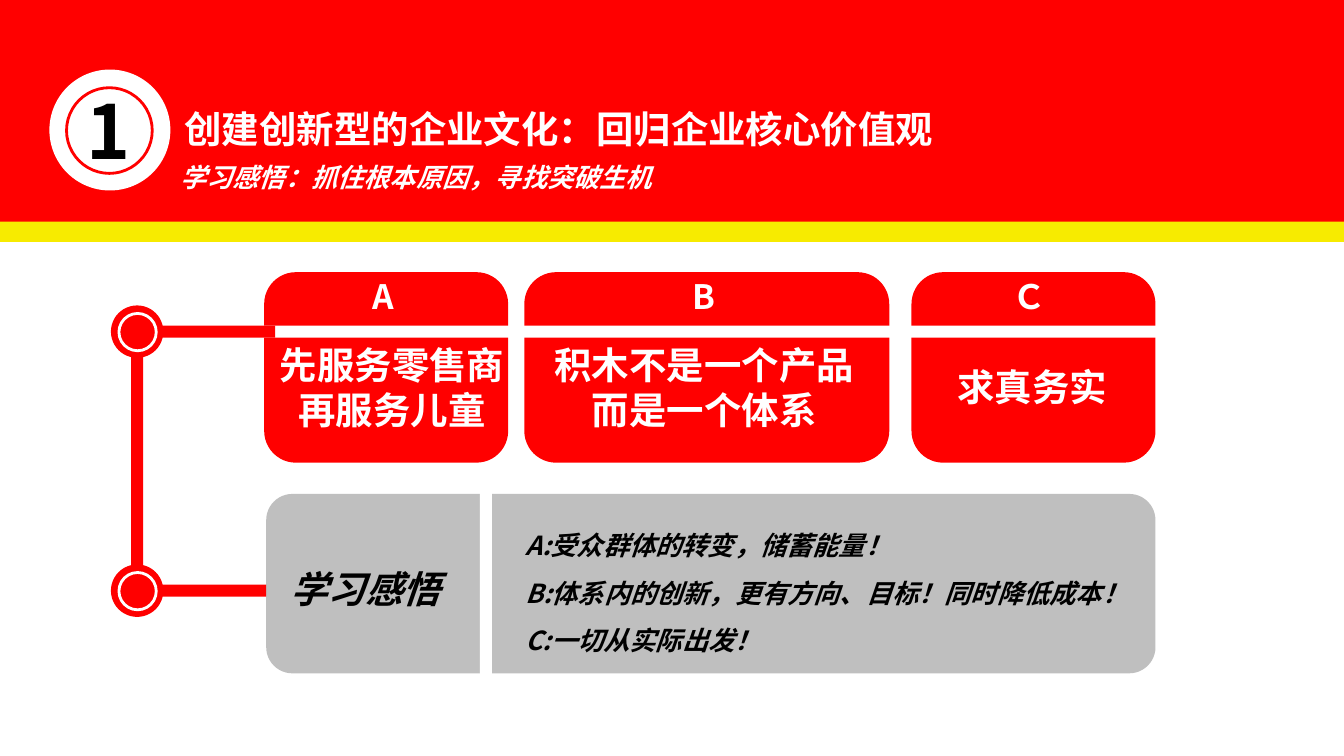
from dataclasses import dataclass

import pptx
import pptx.dml.color
import pptx.enum.shapes
import pptx.enum.text
import pptx.oxml.ns
import pptx.presentation
import pptx.shapes.autoshape
import pptx.slide
import pptx.text.text
import pptx.util
from lxml import etree

Inches = pptx.util.Inches
RGBColor = pptx.dml.color.RGBColor
Preset = pptx.enum.shapes.MSO_SHAPE
Align = pptx.enum.text.PP_ALIGN

RED = RGBColor(0xFF, 0x00, 0x00)
YELLOW = RGBColor(0xF7, 0xEB, 0x00)
GREY = RGBColor(0xBF, 0xBF, 0xBF)
WHITE = RGBColor(0xFF, 0xFF, 0xFF)
BLACK = RGBColor(0x00, 0x00, 0x00)
FONT_NAME = "Noto Sans CJK SC"
BAR = 0.12  # thickness of rails and dividers


@dataclass(frozen=True)
class Box:
    left: float
    top: float
    width: float
    height: float

    def lengths(self) -> list[int]:
        return [Inches(value) for value in (self.left, self.top, self.width, self.height)]


@dataclass(frozen=True)
class Style:
    size: float
    color: RGBColor
    italic: bool = False
    align: Align = Align.LEFT
    line_spacing: float = 1.0


@dataclass(frozen=True)
class Card:
    letter: str
    letter_box: Box
    panel: Box
    text: str
    text_box: Box


HEADING = Style(26.7, WHITE)
CARD_TEXT = Style(26.7, WHITE, align=Align.CENTER)
LETTER = Style(24, WHITE)

CARDS = [
    Card("A", Box(3.6, 2.69, 0.45, 0.5), Box(2.62, 2.7, 2.42, 1.89),
         "先服务零售商\n再服务儿童", Box(2.67, 3.35, 2.44, 1)),
    Card("B", Box(6.77, 2.69, 0.43, 0.5), Box(5.2, 2.7, 3.62, 1.89),
         "积木不是一个产品\n而是一个体系", Box(5.39, 3.35, 3.19, 1)),
    Card("Ｃ", Box(9.94, 2.69, 0.54, 0.5), Box(9.04, 2.7, 2.42, 1.89),
         "求真务实", Box(9.39, 3.56, 1.7, 0.55)),
]
INSIGHTS = "A:受众群体的转变，储蓄能量！\nB:体系内的创新，更有方向、目标！同时降低成本！\nC:一切从实际出发！"


def add_filled(slide: pptx.slide.Slide, preset: Preset, box: Box,
               color: RGBColor) -> pptx.shapes.autoshape.Shape:
    shape = slide.shapes.add_shape(preset, *box.lengths())
    shape.shadow.inherit = False
    shape.fill.solid()
    shape.fill.fore_color.rgb = color
    shape.line.fill.background()
    return shape


def add_ring(slide: pptx.slide.Slide, box: Box, color: RGBColor) -> None:
    ring = slide.shapes.add_shape(Preset.OVAL, *box.lengths())
    ring.shadow.inherit = False
    ring.fill.background()
    ring.line.color.rgb = color
    ring.line.width = pptx.util.Pt(2)


def format_run(run: pptx.text.text._Run, style: Style) -> None:
    run.font.size = pptx.util.Pt(style.size)
    run.font.bold = True
    run.font.italic = style.italic
    run.font.color.rgb = style.color
    run.font.name = FONT_NAME
    east_asian = etree.SubElement(run.font._element, pptx.oxml.ns.qn("a:ea"))
    east_asian.set("typeface", FONT_NAME)


def fill_text(shape: pptx.shapes.autoshape.Shape, text: str, style: Style,
              wrap: bool = False) -> None:
    frame = shape.text_frame
    frame.text = text
    frame.word_wrap = wrap
    frame.auto_size = pptx.enum.text.MSO_AUTO_SIZE.NONE
    frame.vertical_anchor = pptx.enum.text.MSO_ANCHOR.TOP
    for paragraph in frame.paragraphs:
        paragraph.alignment = style.align
        paragraph.line_spacing = style.line_spacing
        paragraph.space_before = pptx.util.Pt(0)
        for run in paragraph.runs:
            format_run(run, style)


def add_text(slide: pptx.slide.Slide, box: Box, text: str, style: Style) -> None:
    fill_text(slide.shapes.add_textbox(*box.lengths()), text, style)


def place_placeholder(shape: pptx.shapes.autoshape.Shape, box: Box) -> None:
    """Move the placeholder and bring it in front of everything drawn so far."""
    shape.left, shape.top, shape.width, shape.height = box.lengths()
    shape.element.getparent().append(shape.element)


def add_header(slide: pptx.slide.Slide) -> None:
    add_filled(slide, Preset.RECTANGLE, Box(0, 0.2, 13.33, 2.2), YELLOW)
    add_filled(slide, Preset.RECTANGLE, Box(0, 0, 13.33, 2.2), RED)
    title = slide.shapes.title
    place_placeholder(title, Box(1.73, 1, 8.08, 0.55))
    fill_text(title, "创建创新型的企业文化：回归企业核心价值观", HEADING, wrap=True)

    # Number badge
    add_filled(slide, Preset.OVAL, Box(0.49, 0.69, 1.2, 1.2), WHITE)
    add_ring(slide, Box(0.66, 0.87, 0.85, 0.85), RED)
    add_text(slide, Box(0.76, 0.79, 0.66, 1), "1", Style(53.3, BLACK))
    add_text(slide, Box(1.69, 1.55, 4.9, 0.42),
             "学习感悟：抓住根本原因，寻找突破生机", Style(18.7, WHITE, italic=True))


def add_cards(slide: pptx.slide.Slide) -> None:
    for card in CARDS:
        add_filled(slide, Preset.ROUNDED_RECTANGLE, card.panel, RED)
        add_text(slide, card.text_box, card.text, CARD_TEXT)
        add_text(slide, card.letter_box, card.letter, LETTER)
    add_filled(slide, Preset.RECTANGLE, Box(2.41, 3.23, 9.24, BAR), WHITE)


def add_insights(slide: pptx.slide.Slide) -> None:
    panel = add_filled(slide, Preset.ROUNDED_RECTANGLE, Box(2.64, 4.9, 8.82, 1.78), GREY)
    panel.adjustments[0] = 0.146
    body = slide.placeholders[1]
    place_placeholder(body, Box(5.11, 5.05, 6.2, 1.52))
    fill_text(body, INSIGHTS, Style(18.7, BLACK, italic=True, line_spacing=1.5))
    for paragraph in body.text_frame.paragraphs:
        properties = paragraph._p.get_or_add_pPr()
        properties.set("marL", "0")
        properties.set("indent", "0")
        etree.SubElement(properties, pptx.oxml.ns.qn("a:buNone"))
    add_text(slide, Box(2.78, 5.43, 1.7, 0.68), "学习感悟",
             Style(26.7, BLACK, italic=True, line_spacing=1.3))
    add_filled(slide, Preset.RECTANGLE, Box(4.76, 4.89, BAR, 1.8), WHITE)


def add_rail(slide: pptx.slide.Slide) -> None:
    for bar in (Box(1.3, 3.23, 1.43, BAR), Box(1.3, 3.26, BAR, 2.66), Box(1.3, 5.8, 1.34, BAR)):
        add_filled(slide, Preset.RECTANGLE, bar, RED)
    for top in (3.03, 5.6):
        add_filled(slide, Preset.OVAL, Box(1.1, top, 0.52, 0.52), RED)
        add_ring(slide, Box(1.18, top + 0.08, 0.37, 0.37), WHITE)


def main() -> None:
    presentation = pptx.Presentation()
    presentation.slide_width = Inches(13.33)
    presentation.slide_height = Inches(7.5)
    slide = presentation.slides.add_slide(presentation.slide_layouts[1])
    add_header(slide)
    add_cards(slide)
    add_insights(slide)
    add_rail(slide)
    presentation.save("out.pptx")


if __name__ == "__main__":
    main()
